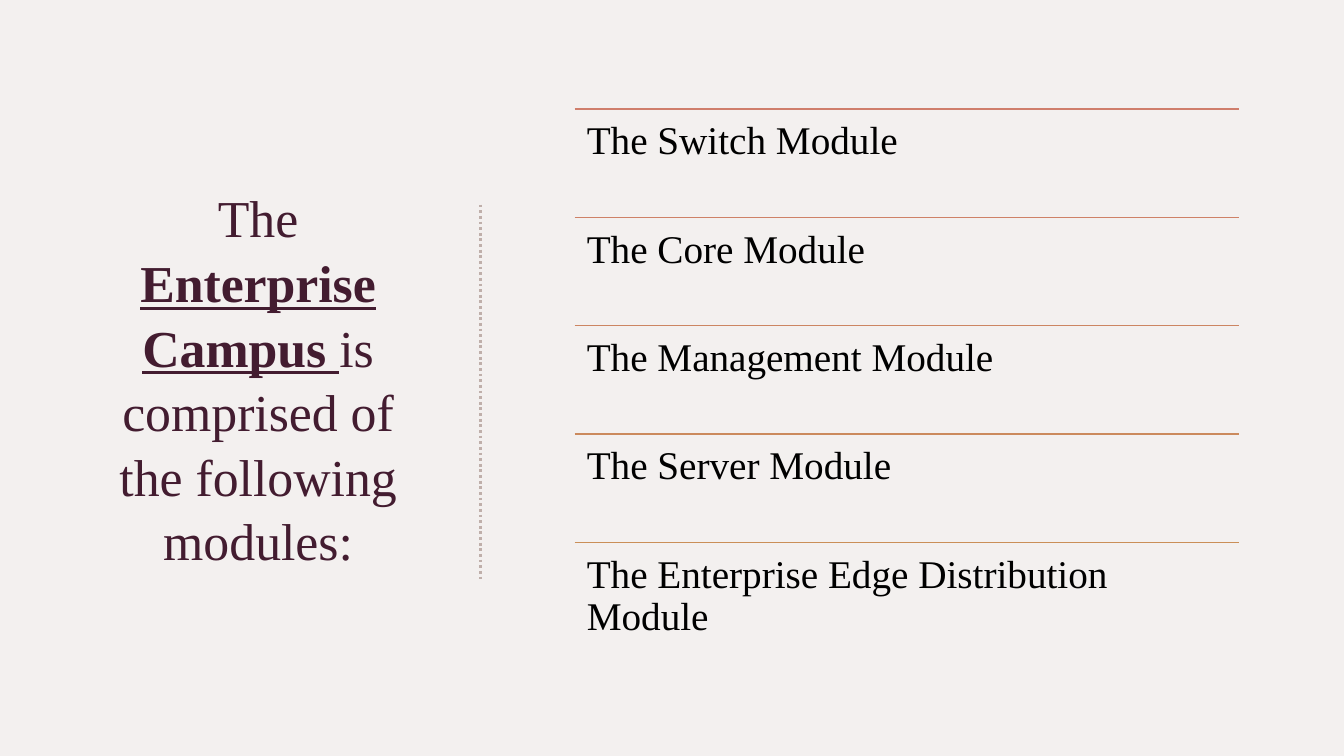
from pptx import Presentation
from pptx.dml.color import RGBColor
from pptx.enum.dml import MSO_LINE_DASH_STYLE as Dash
from pptx.enum.shapes import MSO_CONNECTOR as Connector
from pptx.enum.text import MSO_ANCHOR as Anchor, MSO_AUTO_SIZE as AutoSize, PP_ALIGN as Align
from pptx.oxml.ns import qn
from pptx.util import Inches, Pt

TITLE = [
    ("The ", False),
    ("Enterprise Campus ", True),
    ("is comprised of the following modules:", False),
]
MODULES = [
    ("The Switch Module", "CF7E6C"),
    ("The Core Module", "CE8167"),
    ("The Management Module", "CC8562"),
    ("The Server Module", "CB8A5D"),
    ("The Enterprise Edge Distribution Module", "CA8F58"),
]
FONT = "Times New Roman"
LIST_LEFT, LIST_TOP, LIST_WIDTH, ROW_HEIGHT = 5.7, 1.08, 6.59, 1.075
FRAME = {"word_wrap": True, "auto_size": AutoSize.NONE}
TITLE_FRAME = {**FRAME, "vertical_anchor": Anchor.MIDDLE}
MODULE_FRAME = {**FRAME, "vertical_anchor": Anchor.TOP}
MODULE_FRAME.update({f"margin_{side}": Inches(0.12) for side in ("left", "top", "right", "bottom")})


def color(value):
    return RGBColor.from_string(value)


def apply(target, formats):
    for name, value in formats.items():
        setattr(target, name, value)


def add_span(para, text, size, ink, **formats):
    span = para.add_run()
    span.text = text
    apply(span.font, {"name": FONT, "size": Pt(size), **formats})
    span.font.color.rgb = color(ink)


def add_line(page, start, end, ink, width, dash=None):
    line = page.shapes.add_connector(Connector.STRAIGHT, *map(Inches, start + end))
    line.line.color.rgb = color(ink)
    apply(line.line, {"width": Pt(width), "dash_style": dash})
    properties = line._element.spPr
    properties.append(properties.makeelement(qn("a:effectLst"), {}))


def add_title(page):
    title = page.shapes.title
    apply(title, {"left": Inches(1.04), "top": Inches(1.73),
                  "width": Inches(3.04), "height": Inches(4.03)})
    apply(title.text_frame, TITLE_FRAME)
    para = title.text_frame.paragraphs[0]
    apply(para, {"alignment": Align.CENTER, "line_spacing": 1.04})
    for text, strong in TITLE:
        add_span(para, text, 37, "431C30", bold=strong, underline=strong)


def add_modules(page):
    for row, (text, ink) in enumerate(MODULES):
        top = LIST_TOP + row * ROW_HEIGHT
        add_line(page, (LIST_LEFT, top), (LIST_LEFT + LIST_WIDTH, top), ink, 1)
        box = page.shapes.add_textbox(*map(Inches, (LIST_LEFT, top, LIST_WIDTH, ROW_HEIGHT)))
        apply(box.text_frame, MODULE_FRAME)
        para = box.text_frame.paragraphs[0]
        para.line_spacing = 0.9
        add_span(para, text, 28, "000000")


def main():
    deck = Presentation()
    apply(deck, {"slide_width": Inches(13.33), "slide_height": Inches(7.5)})
    page = deck.slides.add_slide(deck.slide_layouts[5])
    page.background.fill.solid()
    page.background.fill.fore_color.rgb = color("F3F0EF")
    add_title(page)
    add_line(page, (4.77, 2.03), (4.77, 5.74), "BFAFAA", 2, Dash.ROUND_DOT)
    add_modules(page)
    deck.save("out.pptx")


if __name__ == "__main__":
    main()
